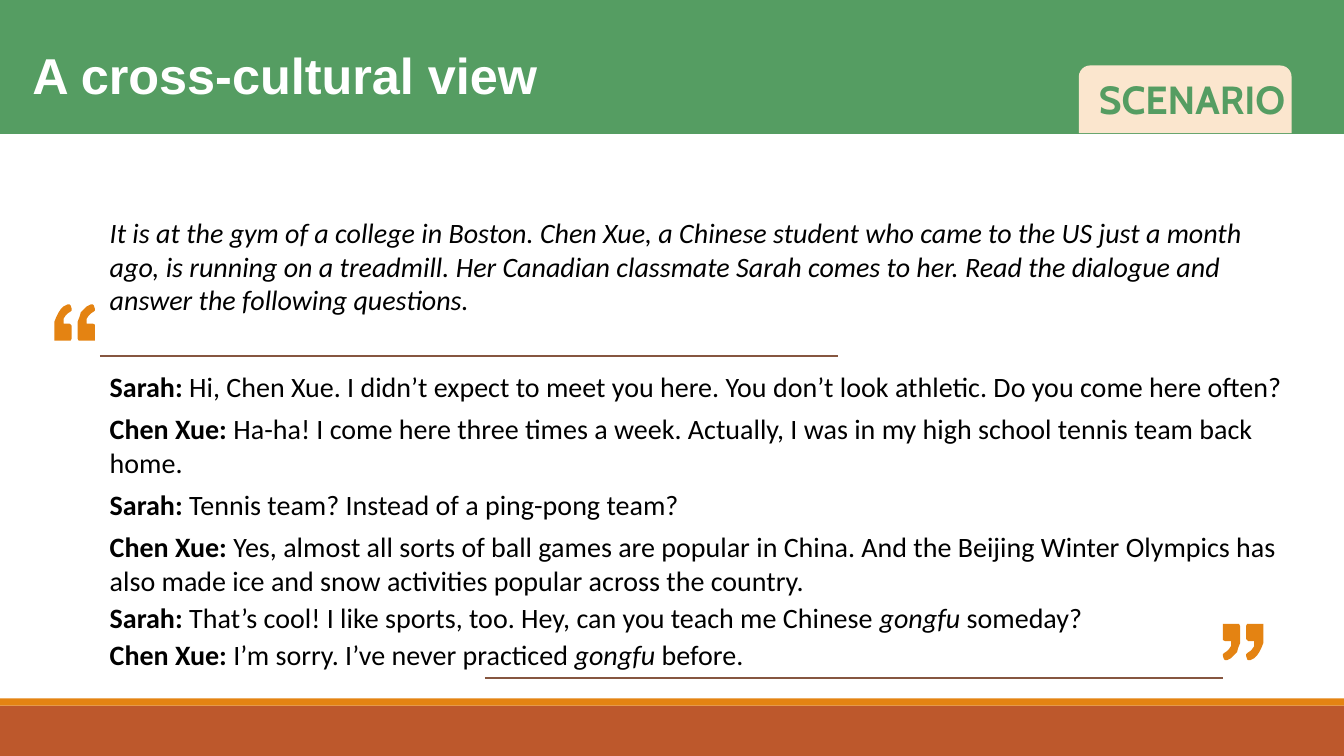
"""Build the dialogue slide "A cross-cultural view"."""
from lxml import etree
from pptx import Presentation
from pptx.dml.color import RGBColor
from pptx.enum.shapes import MSO_CONNECTOR, MSO_SHAPE
from pptx.enum.text import MSO_ANCHOR, MSO_AUTO_SIZE, PP_ALIGN
from pptx.oxml.ns import qn
from pptx.util import Inches, Pt

RECT = MSO_SHAPE.RECTANGLE
ROUND_TOP = MSO_SHAPE.ROUND_2_SAME_RECTANGLE
STRAIGHT = MSO_CONNECTOR.STRAIGHT
TOP = MSO_ANCHOR.TOP
NO_FIT = MSO_AUTO_SIZE.NONE
LEFT = PP_ALIGN.LEFT

GREEN = RGBColor(0x55, 0x9D, 0x62)
RUST = RGBColor(0xBD, 0x58, 0x2C)
ORANGE = RGBColor(0xE4, 0x83, 0x12)
BROWN = RGBColor(0x86, 0x56, 0x40)
CREAM = RGBColor(0xFB, 0xE6, 0xCE)
WHITE = RGBColor(0xFF, 0xFF, 0xFF)
BLACK = RGBColor(0x00, 0x00, 0x00)

INTRO = (
    "It is at the gym of a college in Boston. Chen Xue, a Chinese student who came to "
    "the US just a month ago, is running on a treadmill. Her Canadian classmate Sarah "
    "comes to her. Read the dialogue and answer the following questions."
)
DIALOGUE = [
    ("Sarah: ", "Hi, Chen Xue. I didn’t expect to meet you here. You don’t look athletic. "
                "Do you come here often?", 0),
    ("Chen Xue: ", "Ha-ha! I come here three times a week. Actually, I was in my high school "
                   "tennis team back home.", 6),
    ("Sarah: ", "Tennis team? Instead of a ping-pong team?", 6),
    ("Chen Xue: ", "Yes, almost all sorts of ball games are popular in China. And the Beijing "
                   "Winter Olympics has also made ice and snow activities popular across the "
                   "country.", 6),
    ("Sarah: ", "That’s cool! I like sports, too. Hey, can you teach me Chinese gongfu "
                "someday?", 2.5),
    ("Chen Xue: ", "I’m sorry. I’ve never practiced gongfu before.", 2.5),
]
ITALIC_WORD = "gongfu"

# Outline of one quotation mark, in hundredths of an inch
MARK = [(2, 0), (15, 0), (16.5, 0.5), (17, 2), (17, 12), (16.7, 19), (15, 24), (13.5, 28),
        (11, 31), (8, 33.8), (4, 36), (2.3, 36), (1, 35), (0, 32), (0, 30.5), (1, 29),
        (4, 27.2), (6, 25), (7.6, 21.5), (8, 17), (2, 17), (0.5, 16.5), (0, 15), (0, 2),
        (0.5, 0.5)]
MARK_STEP = 23


def add_block(shape, left, top, width, height, color):
    sp = s.shapes.add_shape(shape, Inches(left), Inches(top), Inches(width), Inches(height))
    sp.shadow.inherit = False
    sp.fill.solid()
    sp.fill.fore_color.rgb = color
    sp.line.fill.background()
    return sp


def add_text(p, text, font, size, color, bold=False, italic=False):
    r = p.add_run()
    r.text = text
    r.font.name = font
    r.font.size = Pt(size)
    r.font.color.rgb = color
    r.font.bold = bold
    r.font.italic = italic


prs = Presentation()
prs.slide_width = Inches(13.33)
prs.slide_height = Inches(7.5)
s = prs.slides.add_slide(prs.slide_layouts[5])

add_block(RECT, 0, 7, 13.33, 0.5, RUST)
add_block(RECT, 0, 6.93, 13.33, 0.07, ORANGE)
header = add_block(RECT, 0, 0, 13.33, 1.32, GREEN)
header.line.color.rgb = GREEN
header.line.width = Pt(1)

title = s.shapes.title
header.element.addnext(title.element)
title.left, title.top = Inches(0.22), Inches(0.39)
title.width, title.height = Inches(5.26), Inches(1.31)
tf = title.text_frame
tf.word_wrap = False
tf.auto_size = NO_FIT
tf.vertical_anchor = TOP
tf.paragraphs[0].alignment = LEFT
add_text(tf.paragraphs[0], "A cross-cultural view", "Arial", 36, WHITE, bold=True)

for left, top in [(0.99, 3.53), (4.81, 6.73)]:
    rule = s.shapes.add_connector(STRAIGHT, Inches(left), Inches(top),
                                  Inches(left + 7.32), Inches(top))
    rule.line.color.rgb = BROWN
    rule.line.width = Pt(1.5)
    etree.SubElement(rule.element.spPr, qn("a:effectLst"))

add_block(ROUND_TOP, 10.7, 0.65, 2.11, 0.67, CREAM)

frames = []
for left, top, width, height in [(0.99, 2.09, 11.87, 1.11), (0.99, 3.62, 11.87, 3.51),
                                 (10.8, 0.7, 2.87, 0.57)]:
    box = s.shapes.add_textbox(Inches(left), Inches(top), Inches(width), Inches(height))
    box.text_frame.word_wrap = True
    frames.append(box.text_frame)
intro, dialogue, tab = frames

add_text(intro.paragraphs[0], INTRO, "Calibri", 20, BLACK, italic=True)
add_text(tab.paragraphs[0], "SCENARIO", "Cabin", 28, GREEN, bold=True)

for i, (speaker, line, space) in enumerate(DIALOGUE):
    p = dialogue.add_paragraph() if i else dialogue.paragraphs[0]
    p.space_before = Pt(space)
    add_text(p, speaker, "Calibri", 20, BLACK, bold=True)
    before, word, after = line.partition(ITALIC_WORD)
    add_text(p, before, "Calibri", 20, BLACK)
    if word:
        add_text(p, word, "Calibri", 20, BLACK, italic=True)
        add_text(p, after, "Calibri", 20, BLACK)

for left, top, angle in [(12.13, 6.19, 0), (0.54, 3.02, 180)]:
    fb = s.shapes.build_freeform(*MARK[0], scale=Inches(0.01))
    fb.add_line_segments(MARK[1:], close=True)
    fb.move_to(MARK[0][0] + MARK_STEP, MARK[0][1])
    fb.add_line_segments([(x + MARK_STEP, y) for x, y in MARK[1:]], close=True)
    quote = fb.convert_to_shape(Inches(left), Inches(top))
    quote.rotation = angle
    quote.shadow.inherit = False
    quote.fill.solid()
    quote.fill.fore_color.rgb = ORANGE
    quote.line.fill.background()

prs.save("out.pptx")
